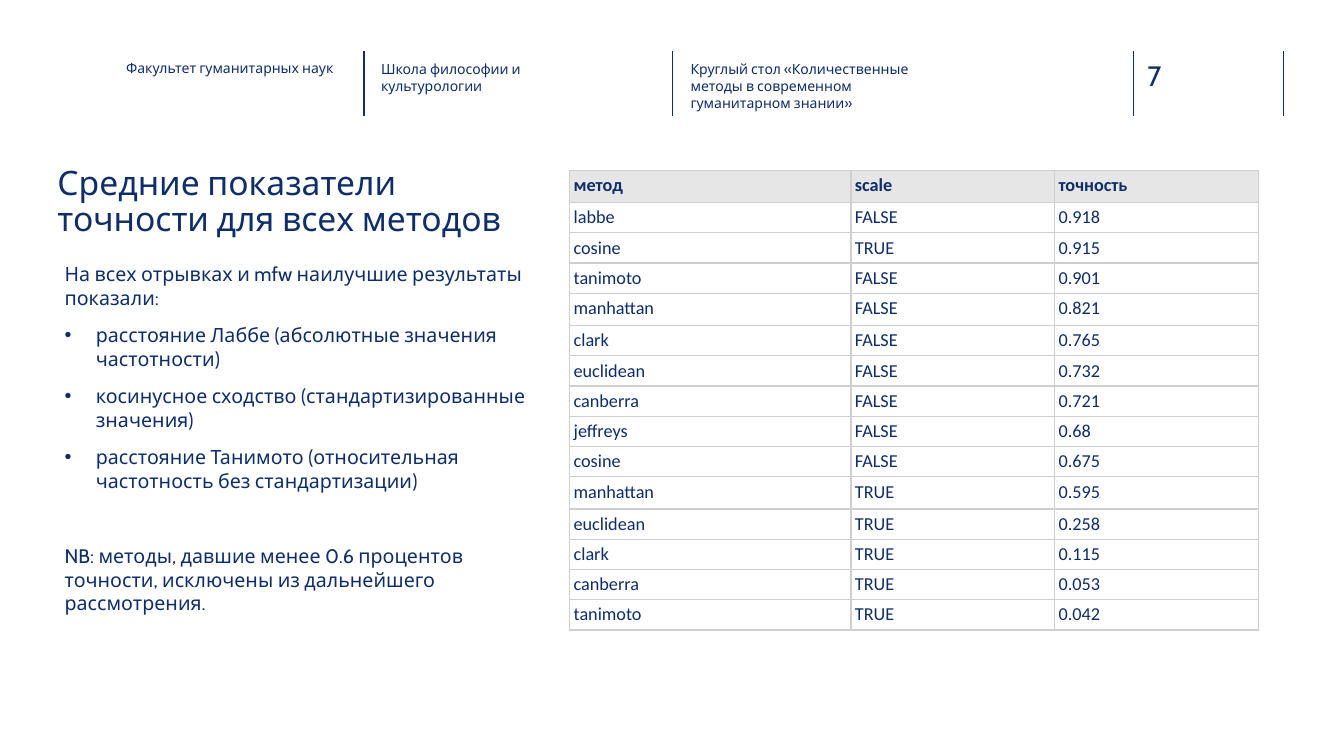
from lxml.etree import SubElement
from pptx import Presentation
from pptx.dml.color import RGBColor
from pptx.enum.text import MSO_ANCHOR, MSO_AUTO_SIZE, PP_ALIGN
from pptx.oxml import parse_xml
from pptx.oxml.ns import nsdecls, qn
from pptx.util import Pt

PX = 9144
NAVY = RGBColor(0x0E, 0x2D, 0x69)
GREY = RGBColor(0xE7, 0xE6, 0xE6)
RULE = RGBColor(0xD0, 0xCE, 0xCE)

HEADS = [
    (125, 59, 208, "Факультет гуманитарных наук"),
    (378, 60, 226, "Школа философии и культурологии"),
    (685, 60, 226, "Круглый стол «Количественные методы в современном гуманитарном знании»"),
]
BARS = [361, 667, 1124, 1273]
TITLE = "Средние показатели точности для всех методов"
INTRO = "На всех отрывках и mfw наилучшие результаты показали:"
BEST = [
    "расстояние Лаббе (абсолютные значения частотности)",
    "косинусное сходство (стандартизированные значения)",
    "расстояние Танимото (относительная частотность без стандартизации)",
]
NOTE = "NB: методы, давшие менее 0.6 процентов точности, исключены из дальнейшего рассмотрения."
ROWS = [
    ("метод", "scale", "точность"),
    ("labbe", "FALSE", "0.918"),
    ("cosine", "TRUE", "0.915"),
    ("tanimoto", "FALSE", "0.901"),
    ("manhattan", "FALSE", "0.821"),
    ("clark", "FALSE", "0.765"),
    ("euclidean", "FALSE", "0.732"),
    ("canberra", "FALSE", "0.721"),
    ("jeffreys", "FALSE", "0.68"),
    ("cosine", "FALSE", "0.675"),
    ("manhattan", "TRUE", "0.595"),
    ("euclidean", "TRUE", "0.258"),
    ("clark", "TRUE", "0.115"),
    ("canberra", "TRUE", "0.053"),
    ("tanimoto", "TRUE", "0.042"),
]
COLS = [279, 202, 202]
TALL = {0, 4, 10}


def write(para, text, size=14, font="Cabin", bold=False, before=0, lines=1.0, dot=None):
    """Fill a paragraph with formatted text; dot is the hanging indent of a bullet."""
    run = para.add_run()
    run.text = text
    run.font.size, run.font.name, run.font.bold = Pt(size), font, bold
    run.font.color.rgb = NAVY
    para.alignment = PP_ALIGN.LEFT
    para.space_before, para.line_spacing = Pt(before), lines
    props = para._p.get_or_add_pPr()
    props.set("marL", str((dot or 0) * PX))
    props.set("indent", str(-(dot or 0) * PX))
    if dot:
        SubElement(props, qn("a:buFont")).set("typeface", "Arial")
        SubElement(props, qn("a:buChar")).set("char", "•")
    else:
        SubElement(props, qn("a:buNone"))


def place(shape, box, inset=(0, 0, 0, 0)):
    """Move a text shape to its box and return its frame."""
    shape.left, shape.top, shape.width, shape.height = [n * PX for n in box]
    frame = shape.text_frame
    frame.word_wrap = True
    frame.auto_size = MSO_AUTO_SIZE.NONE
    frame.vertical_anchor = MSO_ANCHOR.TOP
    frame.margin_left, frame.margin_top, frame.margin_right, frame.margin_bottom = [
        n * PX for n in inset]
    return frame


def label(slide, box, text, size):
    """Add a text box without insets."""
    shape = slide.shapes.add_textbox(0, 0, 0, 0)
    write(place(shape, box).paragraphs[0], text, size=size)


def header(slide, box):
    """Draw the top strip: upright bars, labels and page number."""
    left, top, _, high = box
    for x in BARS:
        bar = slide.shapes.add_connector(
            1, (left + x) * PX, top * PX, (left + x) * PX, (top + high) * PX)
        bar.line.color.rgb, bar.line.width = NAVY, Pt(1)
        SubElement(bar._element.spPr, qn("a:effectLst"))
    for x, y, wide, text in HEADS:
        label(slide, (left + x, top + y - 51, wide, 45), text, 10)
    label(slide, (left + 1138, top + 7, 73, 34), "7", 20)


def story(slide, box):
    """Set the title and the list below it."""
    left, top, wide, _ = box
    head = place(slide.shapes.title, (left, top, wide, 77), (10, 5, 10, 5))
    write(head.paragraphs[0], TITLE, size=24, lines=0.9)
    body = place(slide.placeholders[1], (left + 17, top + 100, wide, 262), (0, 0, 0, 5))
    write(body.paragraphs[0], INTRO, before=10)
    for text in BEST:
        write(body.add_paragraph(), text, before=10, dot=31)
    write(body.add_paragraph(), NOTE, before=37)


def edge(cell):
    """Draw thin lines on all four sides of a cell."""
    for side in "LRTB":
        cell._tc.get_or_add_tcPr().append(parse_xml(
            f'<a:ln{side} {nsdecls("a")} w="12700"><a:solidFill>'
            f'<a:srgbClr val="{RULE}"/></a:solidFill></a:ln{side}>'))


def scores(slide, box):
    """Build the table of methods and their accuracy."""
    frame = slide.shapes.add_table(len(ROWS), len(COLS), *[n * PX for n in box])
    table = frame.table
    table.horz_banding = table.first_row = False
    for col, wide in zip(table.columns, COLS):
        col.width = wide * PX
    for i, row in enumerate(ROWS):
        table.rows[i].height = (32 if i in TALL else 30) * PX
        for j, text in enumerate(row):
            cell = table.cell(i, j)
            cell.margin_left = cell.margin_right = 4 * PX
            cell.margin_top = cell.margin_bottom = 4 * PX
            edge(cell)
            if i == 0:
                cell.fill.solid()
                cell.fill.fore_color.rgb = GREY
            else:
                cell.fill.background()
            write(cell.text_frame.paragraphs[0], text, size=13, font="Calibri", bold=i == 0)


def main():
    """Build the slide and save it."""
    deck = Presentation()
    deck.slide_width, deck.slide_height = 1333 * PX, 750 * PX
    slide = deck.slides.add_slide(deck.slide_layouts[1])
    header(slide, (0, 51, 1333, 64))
    story(slide, (47, 160, 473, 362))
    scores(slide, (565, 169, 683, 458))
    deck.save("out.pptx")


if __name__ == "__main__":
    main()
